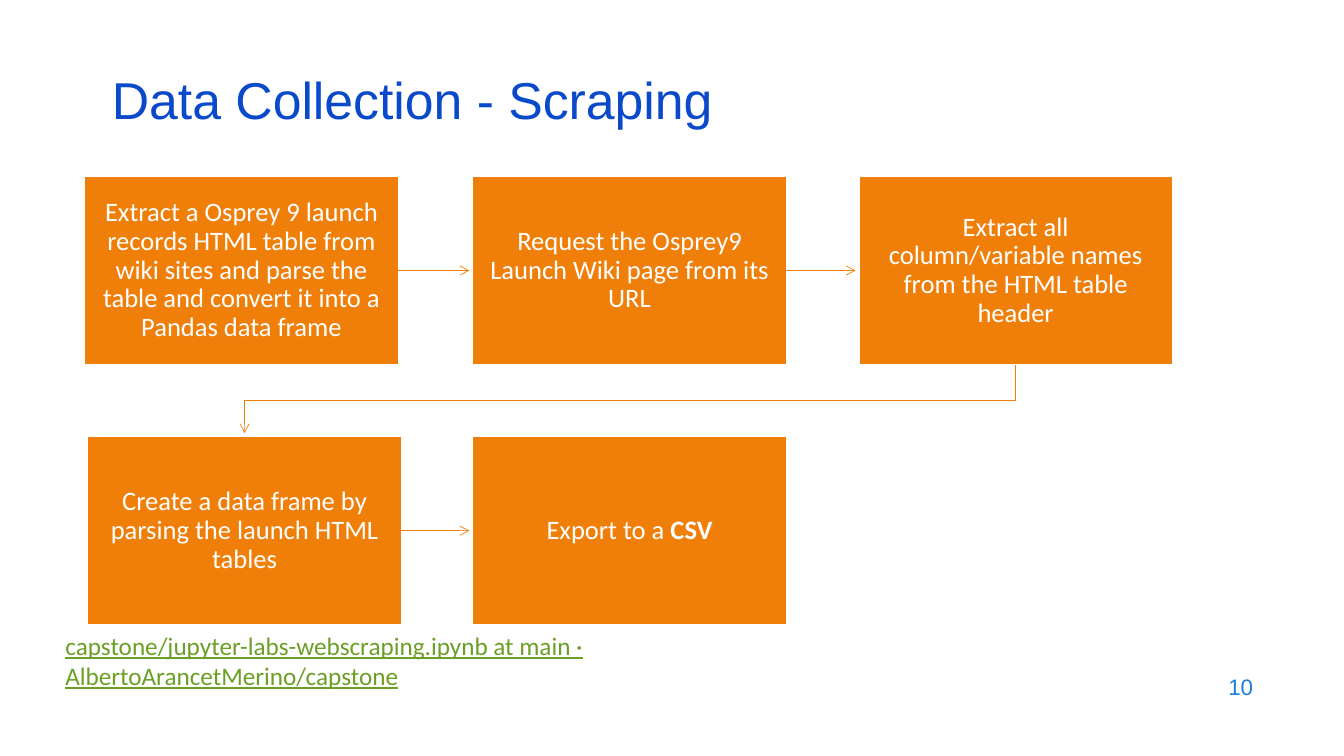
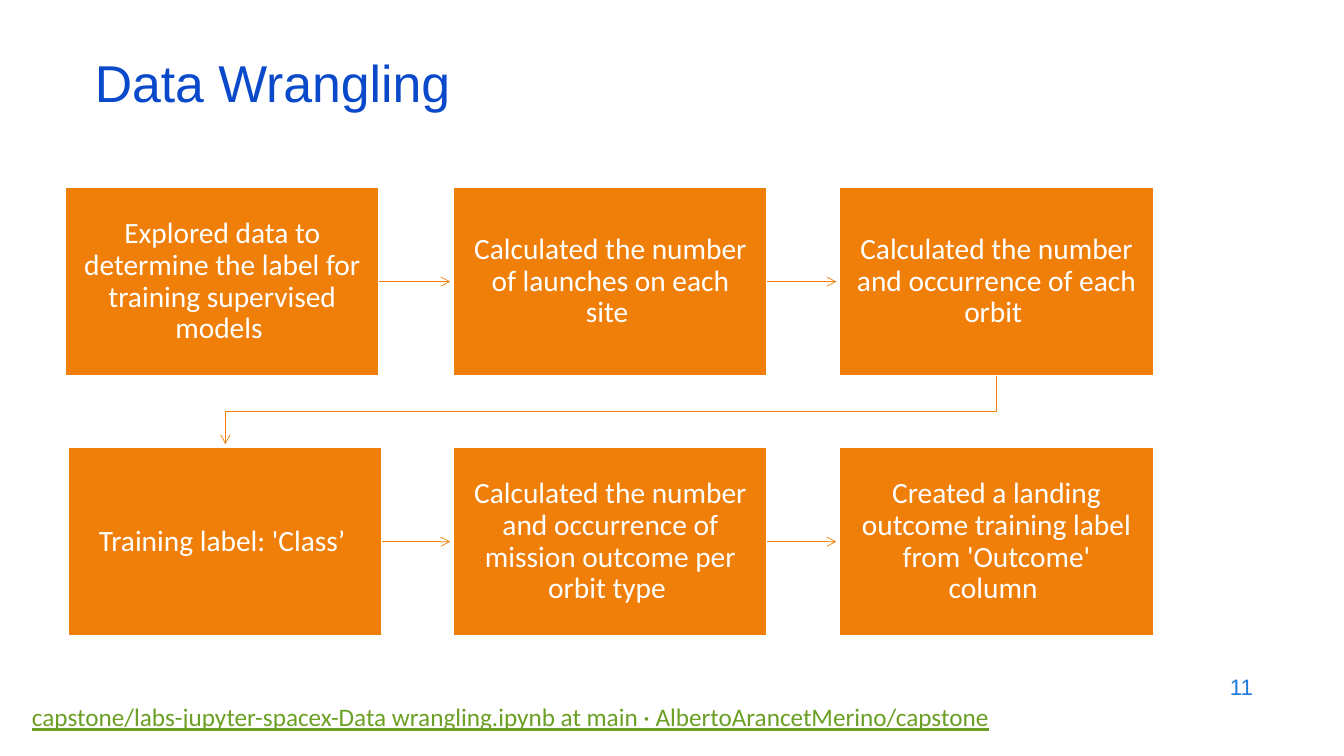
import pptx
import pptx.util
import pptx.dml.color
import pptx.enum.shapes
import pptx.enum.text
import pptx.oxml.ns
from lxml import etree

Pt = pptx.util.Pt
ALIGN = pptx.enum.text.PP_ALIGN
ANCHOR = pptx.enum.text.MSO_ANCHOR

# "**" starts the bold ending of a step
SLIDES = [
    {
        "title": "Data Collection - Scraping", "title_at": (72.7, 54.7),
        "number": "10",
        "flow_at": (60.5, 126), "step_size": 19, "inset": 10.8,
        "steps": [
            [
                "Extract a Osprey 9 launch records HTML table from wiki sites "
                "and parse the table and convert it into a Pandas data frame",
                "Request the Osprey9 Launch Wiki page from its URL",
                "Extract all column/variable names from the HTML table header",
            ],
            [
                "Create a data frame by parsing the launch HTML tables",
                "Export to a **CSV",
            ],
        ],
        "source": "capstone/jupyter-labs-webscraping.ipynb at main · "
                  "AlbertoArancetMerino/capstone",
        "source_box": (39.6, 446.4, 480, 51),
    },
    {
        "title": "Data Wrangling", "title_at": (60.5, 42.5),
        "number": "11",
        "flow_at": (46.8, 133.9), "step_size": 21, "inset": 11.5,
        "steps": [
            [
                "Explored data to determine the label for training supervised models ",
                "Calculated the number of launches on each site ",
                "Calculated the number and occurrence of each orbit ",
            ],
            [
                "Training label: 'Class’ ",
                "Calculated the number and occurrence of mission outcome per orbit type ",
                "Created a landing outcome training label from 'Outcome' column ",
            ],
        ],
        "source": "capstone/labs-jupyter-spacex-Data wrangling.ipynb at main · "
                  "AlbertoArancetMerino/capstone",
        "source_box": (15.8, 497.5, 778, 29),
    },
]

ORANGE, WHITE = "F07F09", "FFFFFF"
TITLE_BLUE, NUMBER_BLUE, LINK_GREEN = "0B49CB", "1C7DDB", "6B9F25"
STEP_W, STEP_H = 224, 134.5
COLUMNS = [(0, 277.2, 553), (2.2, 277.2, 553)]  # step offsets in each row
ROW_PITCH = 185.8
ARROW_GAP = 2.4


def rgb(value):
    return pptx.dml.color.RGBColor.from_string(value)


def style(font, name, size, color):
    font.name, font.size = name, Pt(size)
    font.color.rgb = rgb(color)


def add_title(slide, text, left, top):
    title = slide.shapes.title
    title.left, title.top, title.width, title.height = map(Pt, (left, top, 828, 43.2))
    frame = title.text_frame
    frame.text = text
    frame.auto_size = pptx.enum.text.MSO_AUTO_SIZE.NONE
    frame.vertical_anchor = ANCHOR.MIDDLE
    paragraph = frame.paragraphs[0]
    paragraph.alignment, paragraph.line_spacing = ALIGN.LEFT, 0.7
    style(paragraph.runs[0].font, "Arial", 37, TITLE_BLUE)


def add_text(slide, text, box, font):
    frame = slide.shapes.add_textbox(*map(Pt, box)).text_frame
    frame.word_wrap = True
    frame.text = text
    style(frame.paragraphs[0].runs[0].font, *font)
    return frame


def add_step(slide, text, left, top, size, inset):
    step = slide.shapes.add_shape(pptx.enum.shapes.MSO_SHAPE.RECTANGLE,
                                  *map(Pt, (left, top, STEP_W, STEP_H)))
    step.shadow.inherit = False
    step.fill.solid()
    step.fill.fore_color.rgb = rgb(ORANGE)
    step.line.color.rgb = rgb(WHITE)
    step.line.width = Pt(1)
    frame = step.text_frame
    frame.word_wrap = True
    frame.vertical_anchor = ANCHOR.MIDDLE
    frame.margin_left = frame.margin_right = Pt(inset)
    frame.margin_top = frame.margin_bottom = Pt(inset)
    paragraph = frame.paragraphs[0]
    paragraph.alignment, paragraph.line_spacing = ALIGN.CENTER, 0.9
    plain, _, bold = text.partition("**")
    paragraph.text = plain
    if bold:
        ending = paragraph.add_run()
        ending.text = bold
        ending.font.bold = True
    for run in paragraph.runs:
        style(run.font, "Calibri", size, WHITE)
    return step


def style_arrow(arrow):
    arrow.line.color.rgb = rgb(ORANGE)
    arrow.line.width = Pt(0.5)
    properties = arrow.element.spPr
    qn = pptx.oxml.ns.qn
    etree.SubElement(properties.find(qn("a:ln")), qn("a:tailEnd"), type="arrow")
    etree.SubElement(properties, qn("a:effectLst"))


def add_arrow(slide, step, following):
    middle = step.top + step.height // 2
    arrow = slide.shapes.add_connector(
        pptx.enum.shapes.MSO_CONNECTOR.STRAIGHT, step.left + step.width, middle,
        following.left - Pt(ARROW_GAP), middle)
    arrow.begin_connect(step, 3)
    style_arrow(arrow)


def add_row_return(slide, last, first):
    """Draw the bent arrow from the end of one row to the start of the next."""
    start_x, start_y = last.left + last.width // 2, last.top + last.height
    end_x = first.left + first.width // 2
    turn_y = (start_y + first.top) // 2
    builder = slide.shapes.build_freeform(start_x, start_y)
    builder.add_line_segments(
        [(start_x, turn_y), (end_x, turn_y), (end_x, first.top - Pt(ARROW_GAP))],
        close=False)
    bend = builder.convert_to_shape()
    bend.fill.background()
    style_arrow(bend)


def add_flow(slide, content):
    left, top = content["flow_at"]
    rows = [
        [add_step(slide, text, left + offset, top + index * ROW_PITCH,
                  content["step_size"], content["inset"])
         for text, offset in zip(texts, COLUMNS[index])]
        for index, texts in enumerate(content["steps"])
    ]
    for row in rows:
        for step, following in zip(row, row[1:]):
            add_arrow(slide, step, following)
    for row, next_row in zip(rows, rows[1:]):
        add_row_return(slide, row[-1], next_row[0])


def main():
    deck = pptx.Presentation()
    deck.slide_width, deck.slide_height = Pt(960), Pt(540)
    for content in SLIDES:
        slide = deck.slides.add_slide(deck.slide_layouts[5])
        add_title(slide, content["title"], *content["title_at"])
        number = add_text(slide, content["number"], (686.2, 474.5, 216, 31.7),
                          ("Arial", 16, NUMBER_BLUE))
        number.vertical_anchor = ANCHOR.MIDDLE
        number.paragraphs[0].alignment = ALIGN.RIGHT
        add_flow(slide, content)
        source = add_text(slide, content["source"], content["source_box"],
                          ("Calibri", 18, LINK_GREEN))
        source.paragraphs[0].runs[0].font.underline = True
    deck.save("out.pptx")


if __name__ == "__main__":
    main()
